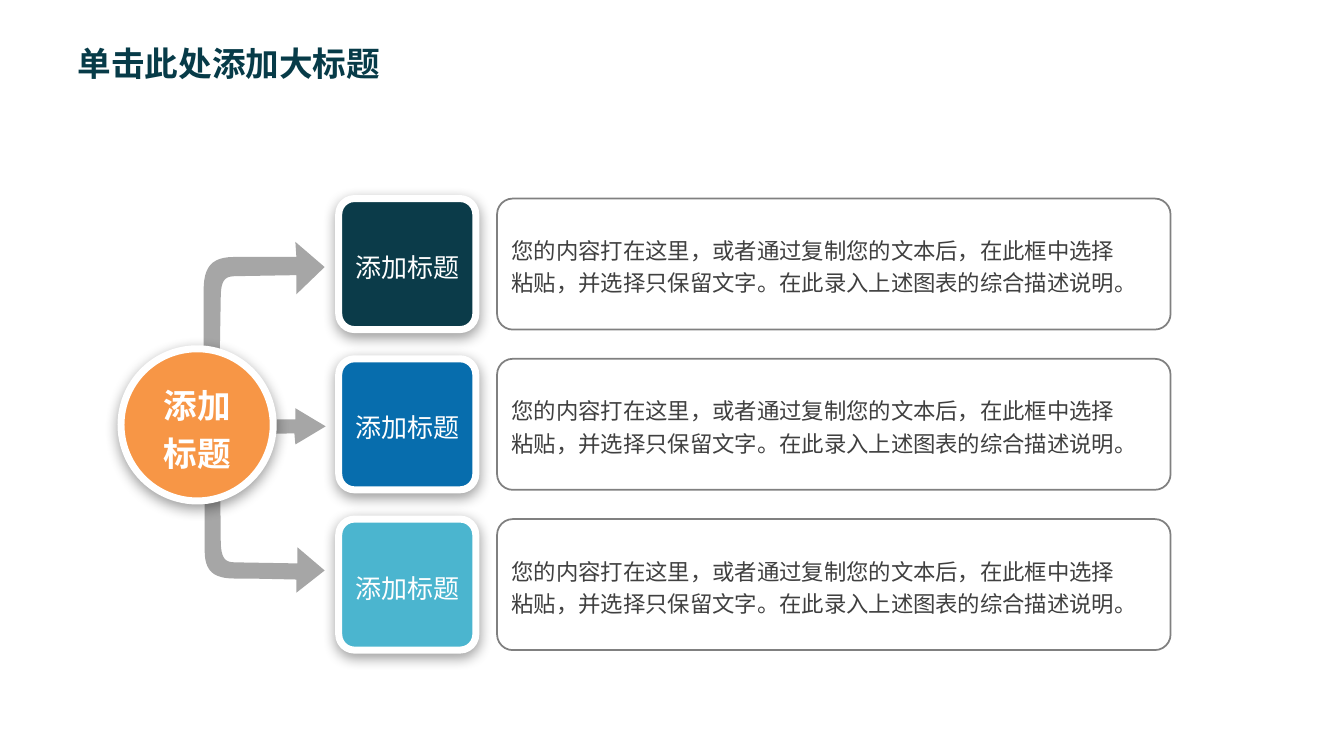
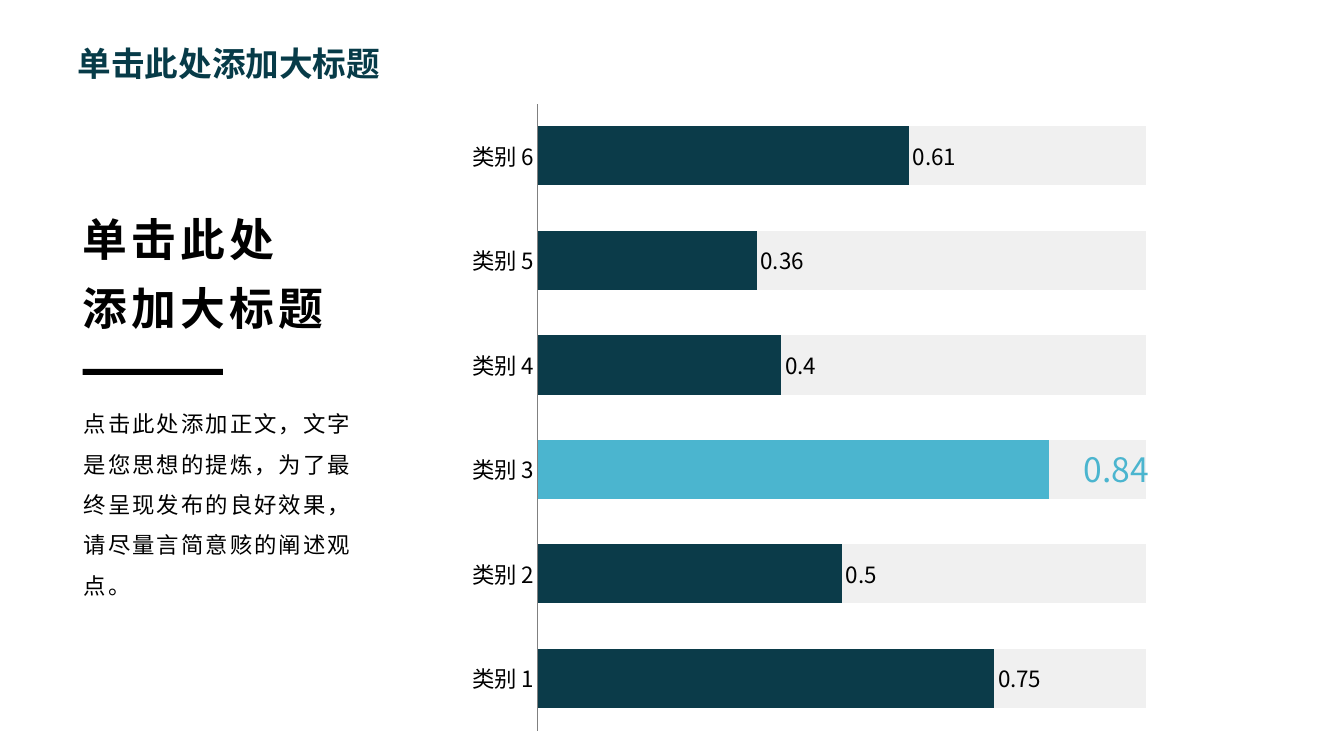
"""Build two slides: a three-way split diagram and a highlighted bar chart."""
from lxml.etree import SubElement
from pptx import Presentation
from pptx.chart.data import CategoryChartData
from pptx.dml.color import RGBColor as RGB
from pptx.enum.chart import XL_CHART_TYPE as CHART, XL_LABEL_POSITION as LABEL, XL_TICK_MARK as TICK
from pptx.enum.shapes import MSO_SHAPE as SHAPE
from pptx.enum.text import MSO_ANCHOR as ANCHOR, MSO_AUTO_SIZE as FIT, PP_ALIGN as ALIGN
from pptx.oxml.ns import qn
from pptx.util import Inches, Pt

THEME = {
    "font": "Noto Sans CJK SC",
    "colors": {
        "title": "073B48", "navy": "0B3B49", "blue": "076DAD", "sky": "4BB5CF",
        "orange": "F79646", "arrow": "A6A6A6", "border": "808080", "text": "404040",
        "track": "F0F0F0", "axis": "808080", "black": "000000", "white": "FFFFFF",
    },
    "sizes": {"title": 24, "hub": 24, "badge": 18.6, "body": 16, "heading": 32, "callout": 24},
}
COLOR = {name: RGB.from_string(value) for name, value in THEME["colors"].items()}
SIZE = {name: Pt(value) for name, value in THEME["sizes"].items()}


def write(shape, lines, size, color, bold=False, align=ALIGN.LEFT, spacing=1.0, tracking=0, **frame_format):
    """Fill a shape with uniformly styled paragraphs."""
    frame = shape.text_frame
    settings = {"word_wrap": True, "vertical_anchor": ANCHOR.MIDDLE, **frame_format}
    for name, value in settings.items():
        setattr(frame, name, value)
    for index, line in enumerate(lines):
        paragraph = frame.add_paragraph() if index else frame.paragraphs[0]
        paragraph.alignment = align
        paragraph.line_spacing = spacing
        run = paragraph.add_run()
        run.text = line
        for name, value in {"name": THEME["font"], "size": SIZE[size], "bold": bold}.items():
            setattr(run.font, name, value)
        run.font.color.rgb = COLOR[color]
        if tracking:
            run.font._element.set("spc", str(int(tracking * 100)))


def add_panel(slide, kind, area, fill=None, line=None, width=0, corner=None, raised=False):
    """Add a preset shape, optionally outlined and raised by a soft shadow."""
    panel = slide.shapes.add_shape(kind, *map(Inches, area))
    panel.shadow.inherit = False
    if corner:
        panel.adjustments[0] = corner
    if fill:
        panel.fill.solid()
        panel.fill.fore_color.rgb = COLOR[fill]
    else:
        panel.fill.background()
    if line:
        panel.line.color.rgb = COLOR[line]
        panel.line.width = Pt(width)
    else:
        panel.line.fill.background()
    if raised:
        effects = panel._element.spPr.find(qn("a:effectLst"))
        shadow = SubElement(effects, qn("a:outerShdw"), blurRad=str(Pt(10)), dist=str(Pt(3)),
                            dir="5400000", algn="t", rotWithShape="0")
        tint = SubElement(shadow, qn("a:srgbClr"), val=THEME["colors"]["black"])
        SubElement(tint, qn("a:alpha"), val="40000")
    return panel


deck = Presentation()
deck.slide_width, deck.slide_height = Inches(13.33), Inches(7.5)
diagram, ranking = [deck.slides.add_slide(deck.slide_layouts[6]) for _ in range(2)]
for slide in (diagram, ranking):
    title = slide.shapes.add_textbox(*map(Inches, (0.66, 0.24, 9.32, 0.77)))
    write(title, ["单击此处添加大标题"], "title", "title", bold=True,
          margin_left=Inches(0.11), margin_right=Inches(0.08),
          margin_top=Inches(0.04), margin_bottom=Inches(0.04))

# Each step holds one point for a straight edge or three for a Bézier curve.
ARROWS = [
    [(2.18, 4.41), (2.19, 5.4), (2.2, 5.58, 2.26, 5.58, 2.37, 5.58), (2.95, 5.59), (2.95, 5.43),
     (3.22, 5.66), (2.94, 5.88), (2.94, 5.75), (2.94, 5.75, 2.55, 5.74, 2.33, 5.74),
     (2.11, 5.74, 2.03, 5.66, 2.03, 5.46), (2.03, 4.39), (2.05, 4.21, 2.15, 4.23, 2.18, 4.41)],
    [(1.81, 4.32), (2.92, 4.3), (2.93, 4.41), (3.23, 4.23), (2.93, 4.05), (2.93, 4.16), (1.81, 4.16)],
    [(2.17, 4.1), (2.19, 2.95), (2.19, 2.75, 2.25, 2.74, 2.36, 2.74), (2.94, 2.73), (2.94, 2.92),
     (3.22, 2.65), (2.93, 2.4), (2.94, 2.55), (2.94, 2.55, 2.54, 2.55, 2.32, 2.55),
     (2.1, 2.55, 2.02, 2.65, 2.02, 2.88), (2.02, 4.12), (2.05, 4.32, 2.14, 4.3, 2.17, 4.1)],
]
CURVE_STEPS = 12
for steps in ARROWS:
    points = [steps[0]]
    for step in steps[1:]:
        if len(step) == 2:
            points.append(step)
            continue
        knots = [points[-1], step[:2], step[2:4], step[4:]]
        for tick in range(1, CURVE_STEPS + 1):
            t = tick / CURVE_STEPS
            weights = ((1 - t) ** 3, 3 * t * (1 - t) ** 2, 3 * t * t * (1 - t), t ** 3)
            points.append(tuple(sum(w * knot[axis] for w, knot in zip(weights, knots)) for axis in (0, 1)))
    outline = [(Inches(x), Inches(y)) for x, y in points]
    builder = diagram.shapes.build_freeform(*outline[0])
    builder.add_line_segments(outline[1:], close=True)
    arrow = builder.convert_to_shape()
    arrow.shadow.inherit = False
    arrow.fill.solid()
    arrow.fill.fore_color.rgb = COLOR["arrow"]
    arrow.line.fill.background()

DESCRIPTION = ["您的内容打在这里，或者通过复制您的文本后，在此框中选择",
               "粘贴，并选择只保留文字。在此录入上述图表的综合描述说明。"]
ROW_TOP, ROW_PITCH, ROW_HEIGHT = 1.97, 1.59, 1.3
for row, badge_color in enumerate(("navy", "blue", "sky")):
    top = ROW_TOP + row * ROW_PITCH
    description = add_panel(diagram, SHAPE.ROUNDED_RECTANGLE, (4.93, top, 6.68, ROW_HEIGHT),
                            line="border", width=1.25, corner=0.12)
    write(description, DESCRIPTION, "body", "text", spacing=1.2)
    badge = add_panel(diagram, SHAPE.ROUNDED_RECTANGLE, (3.36, top, 1.36, ROW_HEIGHT), fill=badge_color,
                      line="white", width=5, corner=0.12, raised=True)
    write(badge, ["添加标题"], "badge", "white", align=ALIGN.CENTER, spacing=1.2,
          margin_left=Inches(0.09), margin_right=Inches(0.09))

hub = add_panel(diagram, SHAPE.OVAL, (1.2, 3.46, 1.51, 1.51), fill="orange",
                line="white", width=5, raised=True)
write(hub, ["添加标题"], "hub", "white", bold=True, align=ALIGN.CENTER, spacing=1.2)

SCORES = [0.75, 0.5, 0.84, 0.4, 0.36, 0.61]
HIGHLIGHT = SCORES.index(max(SCORES))
scores_data = CategoryChartData()
scores_data.categories = [f"类别 {number}" for number in range(1, len(SCORES) + 1)]
scores_data.add_series("Series 1", [1] * len(SCORES))
scores_data.add_series("Series 2", SCORES)
chart = ranking.shapes.add_chart(CHART.BAR_CLUSTERED, *map(Inches, (4.52, 0.9, 8.22, 6.48)), scores_data).chart
chart.has_legend = chart.has_title = False
chart.font.name, chart.font.size = "Arial", Pt(10)
plot = chart.plots[0]
for name, value in {"gap_width": 77, "overlap": 100, "vary_by_categories": False}.items():
    setattr(plot, name, value)
value_axis, category_axis = chart.value_axis, chart.category_axis
for name, value in {"minimum_scale": 0, "maximum_scale": 1.2, "has_major_gridlines": False, "visible": False}.items():
    setattr(value_axis, name, value)
category_axis.major_tick_mark = category_axis.minor_tick_mark = TICK.NONE
category_axis.format.line.color.rgb = COLOR["axis"]
category_axis.format.line.width = Pt(0.75)

track, scores = plot.series
track.format.fill.solid()
track.format.fill.fore_color.rgb = COLOR["track"]
for index in range(len(SCORES)):
    bar = scores.points[index].format.fill
    bar.solid()
    bar.fore_color.rgb = COLOR["sky" if index == HIGHLIGHT else "navy"]
labels = scores.data_labels
labels.show_value = True
labels.position = LABEL.OUTSIDE_END
for font in (labels.font, category_axis.tick_labels.font):
    font.name, font.size = THEME["font"], SIZE["body"]
    font.color.rgb = COLOR["black"]
hidden_label = SubElement(labels._element, qn("c:dLbl"))
SubElement(hidden_label, qn("c:idx"), val=str(HIGHLIGHT))
SubElement(hidden_label, qn("c:delete"), val="1")
labels._element.insert(0, hidden_label)

heading = ranking.shapes.add_textbox(*map(Inches, (0.72, 1.88, 2.97, 1.5)))
write(heading, ["单击此处", "添加大标题"], "heading", "black", bold=True, spacing=1.3, tracking=3,
      auto_size=FIT.SHAPE_TO_FIT_TEXT)
summary = ranking.shapes.add_textbox(*map(Inches, (0.72, 3.94, 2.97, 2.19)))
write(summary, ["点击此处添加正文，文字是您思想的提炼，为了最终呈现发布的良好效果，请尽量言简意赅的阐述观点。"],
      "body", "black", spacing=1.5, tracking=1.5, vertical_anchor=ANCHOR.TOP,
      margin_left=Inches(0.11), margin_right=Inches(0.09), margin_top=0, margin_bottom=0)
add_panel(ranking, SHAPE.RECTANGLE, (0.82, 3.66, 1.39, 0.06), fill="black")
callout = ranking.shapes.add_textbox(*map(Inches, (10.65, 4.4, 0.88, 0.5)))
write(callout, [str(SCORES[HIGHLIGHT])], "callout", "sky", word_wrap=False,
      vertical_anchor=ANCHOR.TOP, auto_size=FIT.SHAPE_TO_FIT_TEXT)

for root in (diagram._element, ranking._element, chart._chartSpace):
    for latin in list(root.iter(qn("a:latin"))):
        east_asian = SubElement(latin.getparent(), qn("a:ea"), typeface=THEME["font"])
        latin.addnext(east_asian)

deck.save("out.pptx")
